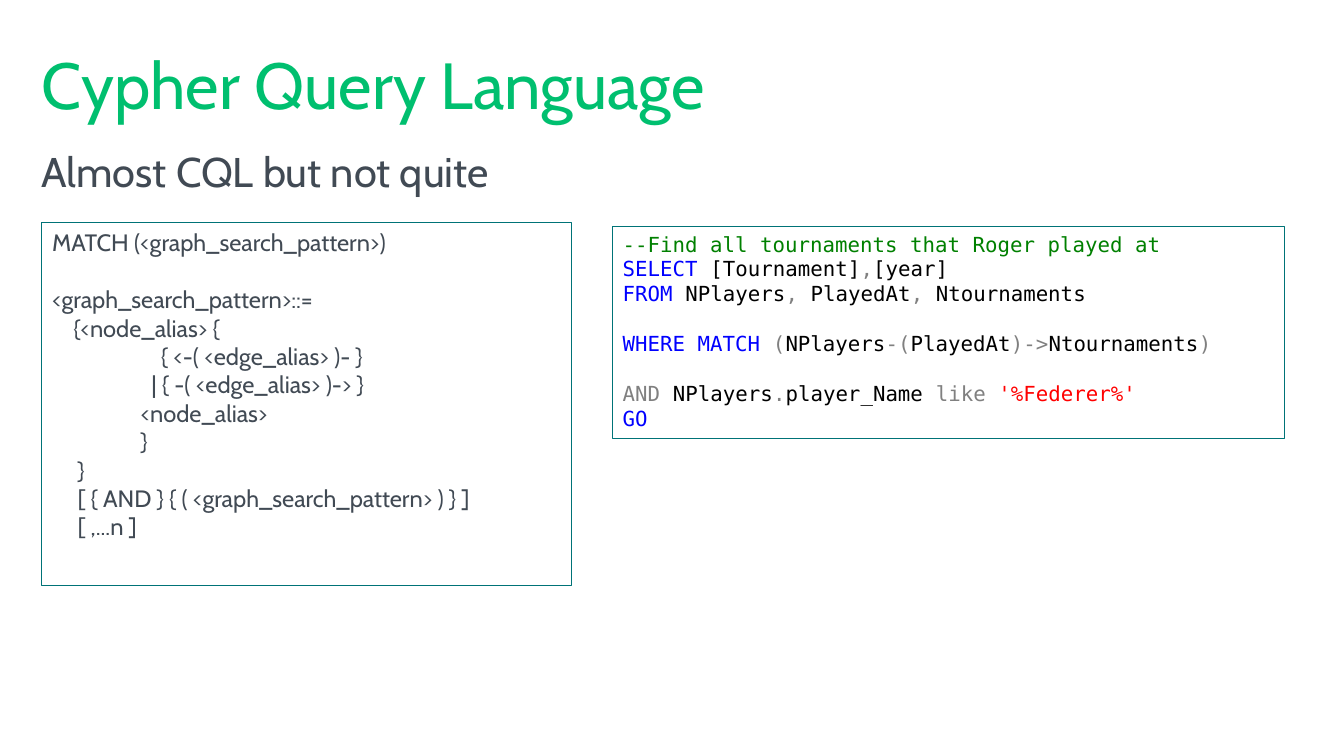
from pptx import Presentation
from pptx.dml.color import RGBColor
from pptx.enum.shapes import MSO_SHAPE
from pptx.enum.text import MSO_ANCHOR as Anchor, MSO_AUTO_SIZE as AutoSize, PP_ALIGN as Align
from pptx.oxml.ns import qn
from pptx.util import Inches, Pt

COLORS = {
    "title": "00BF6F",
    "body": "414A54",
    "border": "007377",
    "comment": "008000",
    "keyword": "0000FF",
    "name": "000000",
    "operator": "808080",
    "string": "FF0000",
}
TEXT_FONT = "Cabin"
CODE_FONT = "DejaVu Sans Mono"

# Each grammar line: left indent in inches, space before in points, text
GRAMMAR = [
    (0, 0, "MATCH (<graph_search_pattern>)"),
    (0, 19.2, "<graph_search_pattern>::="),
    (0.2, 0, "{<node_alias> {"),
    (1.02, 0, "{ <-( <edge_alias> )- }"),
    (0.93, 0, "| { -( <edge_alias> )-> }"),
    (0.83, 0, "<node_alias>"),
    (0.83, 0, "}"),
    (0.24, 0, "}"),
    (0.24, 0, "[ { AND } { ( <graph_search_pattern> ) } ]"),
    (0.24, 0, "[ ,...n ]"),
]

# Each query line: space before in points, then coloured tokens
QUERY = [
    (0, [("comment", "--Find all tournaments that Roger played at")]),
    (0, [("keyword", "SELECT"), ("name", " [Tournament]"),
         ("operator", ","), ("name", "[year]")]),
    (0, [("keyword", "FROM "), ("name", "NPlayers"), ("operator", ", "),
         ("name", "PlayedAt"), ("operator", ", "), ("name", "Ntournaments")]),
    (17, [("keyword", "WHERE MATCH "), ("operator", "("), ("name", "NPlayers"),
          ("operator", "-("), ("name", "PlayedAt"), ("operator", ")->"),
          ("name", "Ntournaments"), ("operator", ")")]),
    (17, [("operator", "AND "), ("name", "NPlayers"), ("operator", "."),
          ("name", "player_Name "), ("operator", "like "),
          ("string", "'%Federer%'")]),
    (0, [("keyword", "GO")]),
]


def set_attributes(target, values):
    for name, value in values.items():
        setattr(target, name, value)


def place(shape, left, top, width, height):
    set_attributes(shape, {"left": Inches(left), "top": Inches(top),
                           "width": Inches(width), "height": Inches(height)})


def add_run(paragraph, text, color, font, size):
    run = paragraph.add_run()
    run.text = text
    set_attributes(run.font, {"name": font, "size": Pt(size), "bold": False})
    run.font.color.rgb = RGBColor.from_string(COLORS[color])


def format_paragraph(paragraph, before=0, indent=0):
    set_attributes(paragraph, {"alignment": Align.LEFT, "line_spacing": 1.0,
                               "space_before": Pt(before), "space_after": Pt(0)})
    properties = paragraph._p.get_or_add_pPr()
    properties.set("marL", str(Inches(indent)))
    properties.set("indent", "0")
    properties.append(properties.makeelement(qn("a:buNone"), {}))


def fill_placeholder(shape, position, text, color, size, anchor, before=0):
    place(shape, *position)
    frame = shape.text_frame
    set_attributes(frame, {"margin_left": 0, "margin_top": 0, "margin_right": 0,
                           "margin_bottom": 0, "word_wrap": True,
                           "auto_size": AutoSize.NONE, "vertical_anchor": anchor})
    paragraph = frame.paragraphs[0]
    format_paragraph(paragraph, before)
    add_run(paragraph, text, color, TEXT_FONT, size)


def add_code_box(slide, position, lines, font, size):
    """Draw an outlined box; each line is (indent, space before, tokens)."""
    shape = slide.shapes.add_shape(MSO_SHAPE.RECTANGLE, *map(Inches, position))
    shape.shadow.inherit = False
    shape.fill.background()
    shape.line.color.rgb = RGBColor.from_string(COLORS["border"])
    shape.line.width = Pt(0.75)
    frame = shape.text_frame
    set_attributes(frame, {"word_wrap": True, "auto_size": AutoSize.NONE,
                           "vertical_anchor": Anchor.TOP})
    for number, (indent, before, tokens) in enumerate(lines):
        paragraph = frame.add_paragraph() if number else frame.paragraphs[0]
        format_paragraph(paragraph, before, indent)
        for color, text in tokens:
            add_run(paragraph, text, color, font, size)


def main():
    presentation = Presentation()
    set_attributes(presentation, {"slide_width": Inches(12.6),
                                  "slide_height": Inches(7.09)})
    slide = presentation.slides.add_slide(presentation.slide_layouts[1])

    # Heading
    fill_placeholder(slide.shapes.title, (0.39, 0.39, 11.81, 0.79),
                     "Cypher Query Language", "title", 44, Anchor.MIDDLE)
    fill_placeholder(slide.placeholders[1], (0.39, 1.37, 11.81, 0.53),
                     "Almost CQL but not quite", "body", 28, Anchor.TOP, before=2)

    # Grammar and example query
    grammar_lines = [(indent, before, [("body", text)])
                     for indent, before, text in GRAMMAR]
    query_lines = [(0, before, tokens) for before, tokens in QUERY]
    add_code_box(slide, (0.39, 2.09, 4.97, 3.4), grammar_lines, TEXT_FONT, 16)
    add_code_box(slide, (5.74, 2.12, 6.3, 1.99), query_lines, CODE_FONT, 14)

    presentation.save("out.pptx")


if __name__ == "__main__":
    main()
